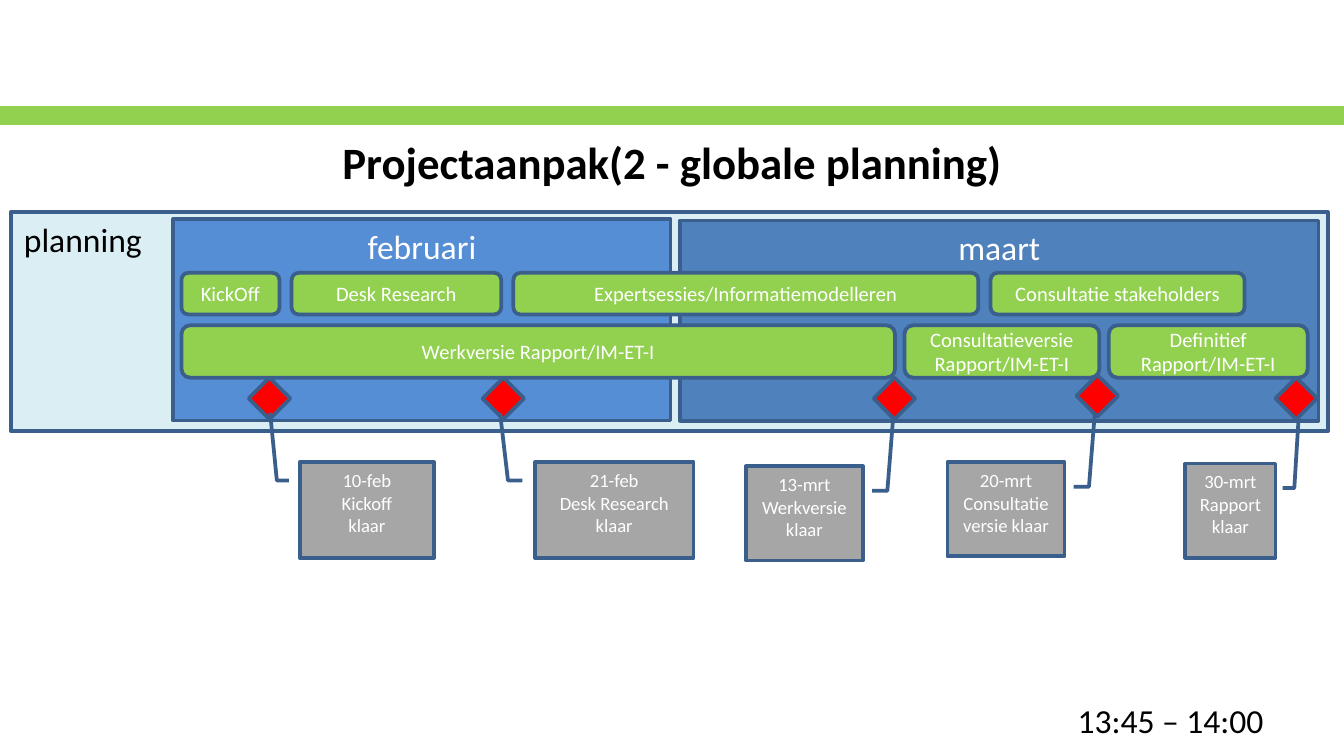
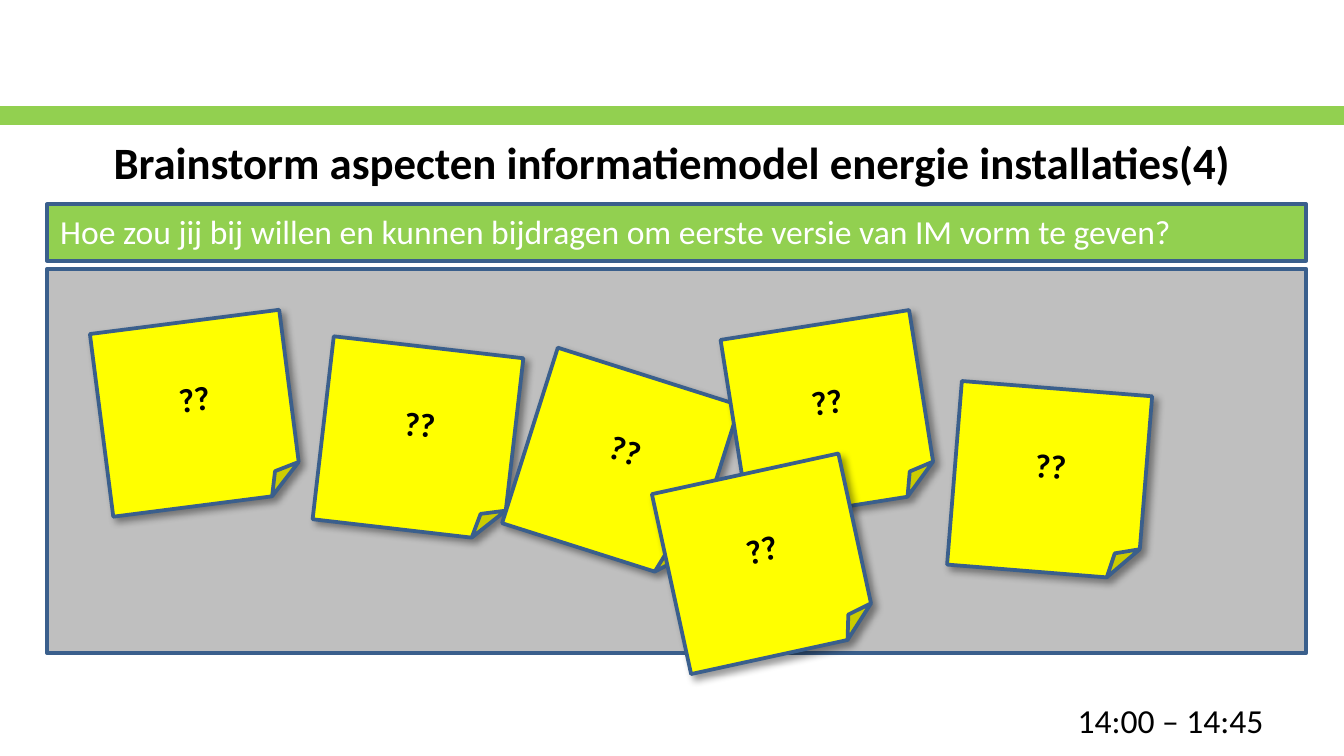
"""Builds two workshop slides: the global project planning and a sticky-note brainstorm."""
from dataclasses import dataclass

from lxml import etree
from pptx import Presentation
from pptx.dml.color import RGBColor
from pptx.enum.shapes import MSO_SHAPE
from pptx.enum.text import MSO_ANCHOR, MSO_AUTO_SIZE, PP_ALIGN
from pptx.oxml.ns import qn
from pptx.util import Emu, Pt


@dataclass(frozen=True)
class Theme:
    font: str = "Calibri"
    black: str = "000000"
    white: str = "FFFFFF"
    green: str = "92D050"
    outline: str = "3A5F8C"
    planning: str = "DBEEF4"
    february: str = "558ED5"
    march: str = "4F81BD"
    milestone: str = "FF0000"
    callout: str = "A6A6A6"
    board: str = "BFBFBF"
    note: str = "FFFF00"
    title_size: int = 24
    body_size: int = 18
    bar_size: int = 11
    callout_size: int = 10


THEME = Theme()
PX = 9144


def write(shape, text, size, color, align=PP_ALIGN.CENTER, anchor=MSO_ANCHOR.TOP, bold=False):
    frame = shape.text_frame
    frame.word_wrap = True
    frame.vertical_anchor = anchor
    frame.text = text
    for paragraph in frame.paragraphs:
        paragraph.alignment = align
        paragraph.font.name = THEME.font
        paragraph.font.size = Pt(size)
        paragraph.font.bold = bold
        paragraph.font.color.rgb = RGBColor.from_string(color)


def draw(slide, preset, box, fill, outline=THEME.outline):
    shape = slide.shapes.add_shape(preset, *[Emu(n * PX) for n in box])
    shape.shadow.inherit = False
    shape.fill.solid()
    shape.fill.fore_color.rgb = RGBColor.from_string(fill)
    shape.line.color.rgb = RGBColor.from_string(outline)
    shape.line.width = Pt(2)
    return shape


deck = Presentation()
deck.slide_width = Emu(1000 * PX)
deck.slide_height = Emu(deck.slide_width * 9 // 16)

slides = []
for heading, hours in [
    ("Projectaanpak(2 - globale planning)", "13:45 – 14:00"),
    ("Brainstorm aspecten informatiemodel energie installaties(4)", "14:00 – 14:45"),
]:
    slide = deck.slides.add_slide(deck.slide_layouts[6])
    draw(slide, MSO_SHAPE.RECTANGLE, (0, 80, 1000, 12), THEME.green, THEME.green)
    title = slide.shapes.add_textbox(*[Emu(n * PX) for n in (50, 93, 900, 54)])
    write(title, heading, THEME.title_size, THEME.black, anchor=MSO_ANCHOR.MIDDLE, bold=True)
    timeslot = slide.shapes.add_textbox(*[Emu(n * PX) for n in (792, 516, 160, 40)])
    write(timeslot, hours, THEME.body_size, THEME.black, PP_ALIGN.LEFT)
    timeslot.text_frame.word_wrap = False
    timeslot.text_frame.auto_size = MSO_AUTO_SIZE.SHAPE_TO_FIT_TEXT
    slides.append(slide)
planning_slide, brainstorm_slide = slides

planning = draw(planning_slide, MSO_SHAPE.RECTANGLE, (8, 158, 980, 163), THEME.planning)
write(planning, "planning", THEME.body_size, THEME.black, PP_ALIGN.LEFT)
for name, box, fill in [
    ("februari", (129, 163, 370, 150), THEME.february),
    ("maart", (506, 164, 475, 149), THEME.march),
]:
    month = draw(planning_slide, MSO_SHAPE.RECTANGLE, box, fill)
    write(month, name, THEME.body_size, THEME.white)

activity_rows = [
    (203, 31, 9, [("KickOff", 73), ("Desk Research", 156),
                  ("Expertsessies/Informatiemodelleren", 346),
                  ("Consultatie stakeholders", 189)]),
    (242, 39, 7, [("Werkversie Rapport/IM-ET-I", 531),
                  ("Consultatieversie Rapport/IM-ET-I", 145),
                  ("Definitief Rapport/IM-ET-I", 148)]),
]
for top, height, gap, activities in activity_rows:
    left = 135
    for name, width in activities:
        activity = draw(planning_slide, MSO_SHAPE.ROUNDED_RECTANGLE,
                        (left, top, width, height), THEME.green)
        write(activity, name, THEME.bar_size, THEME.white, anchor=MSO_ANCHOR.MIDDLE)
        left += width + gap

leader_left = (0.19, -0.08, 0.19, -0.17, -0.52, -0.22)
leader_right = (0.26, 1.08, 0.26, 1.21, -0.52, 1.26)
milestones = [
    ("10-feb\nKickoff\nklaar", (185, 281), (223, 344, 100, 71), leader_left),
    ("21-feb\nDesk Research\nklaar", (359, 281), (398, 344, 118, 71), leader_left),
    ("13-mrt\nWerkversie klaar", (650, 281), (555, 347, 87, 70), leader_right),
    ("20-mrt\nConsultatieversie klaar", (801, 279), (705, 344, 87, 70), leader_right),
    ("30-mrt\nRapport klaar", (949, 281), (882, 345, 67, 70), leader_right),
]
for label, corner, box, leader in milestones:
    draw(planning_slide, MSO_SHAPE.FLOWCHART_DECISION, (*corner, 31, 31), THEME.milestone)
    callout = draw(planning_slide, MSO_SHAPE.LINE_CALLOUT_2, box, THEME.callout)
    for index, value in enumerate(leader):
        callout.adjustments[index] = value
    write(callout, label, THEME.callout_size, THEME.white)

draw(brainstorm_slide, MSO_SHAPE.RECTANGLE, (35, 200, 937, 286), THEME.board)
question = draw(brainstorm_slide, MSO_SHAPE.RECTANGLE, (35, 152, 937, 42), THEME.green)
write(question, "Hoe zou jij bij willen en kunnen bijdragen om eerste versie van IM vorm te geven?",
      THEME.body_size, THEME.white, PP_ALIGN.LEFT)

for left, top, angle in [
    (75, 239, -7.3), (240, 258, 6.6), (391, 277, 17.6),
    (546, 241, -9), (710, 289, 4.6), (498, 351, -12.3),
]:
    note = draw(brainstorm_slide, MSO_SHAPE.FOLDED_CORNER, (left, top, 142, 137), THEME.note)
    note.rotation = angle
    write(note, "??", THEME.body_size, THEME.black, anchor=MSO_ANCHOR.MIDDLE, bold=True)
    effects = note._element.spPr.find(qn("a:effectLst"))
    shadow = etree.SubElement(effects, qn("a:outerShdw"), blurRad=str(Pt(4)), dist=str(Pt(3)),
                              dir="2700000", algn="tl", rotWithShape="0")
    shade = etree.SubElement(shadow, qn("a:srgbClr"), val=THEME.black)
    etree.SubElement(shade, qn("a:alpha"), val="40000")

deck.save("out.pptx")
